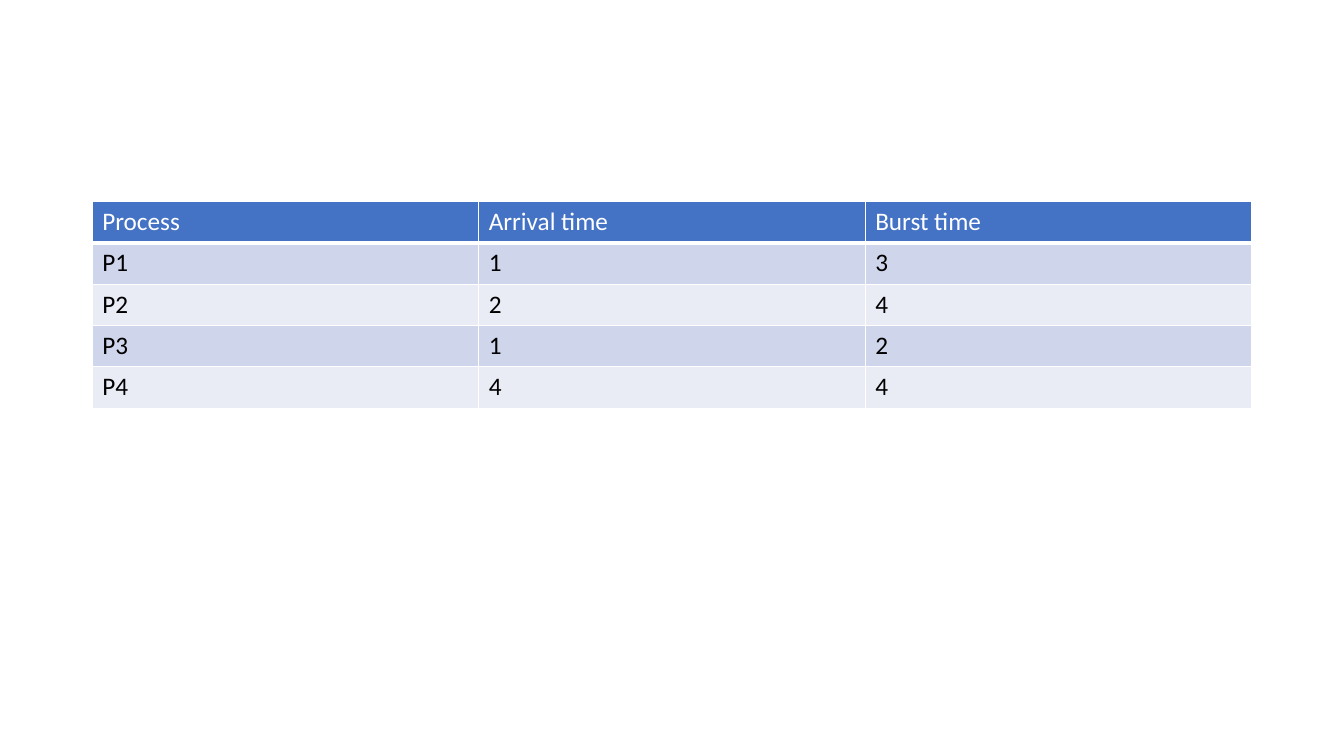
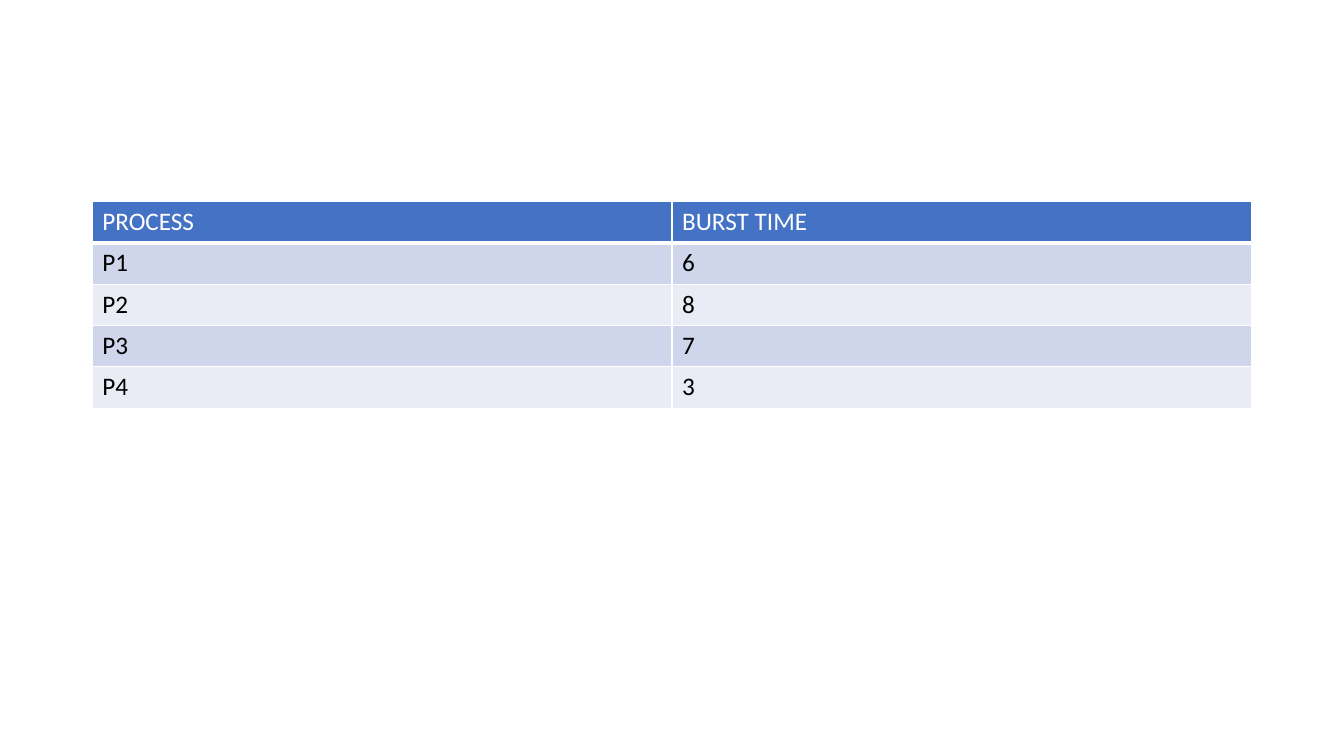
from dataclasses import dataclass

from lxml.etree import SubElement
from pptx import Presentation
from pptx.dml.color import RGBColor
from pptx.oxml.ns import qn
from pptx.presentation import Presentation as Deck
from pptx.table import _Cell
from pptx.util import Inches, Pt


@dataclass(frozen=True)
class Theme:
    font: str = "Calibri"
    size: float = 18
    header_fill: str = "4472C4"
    header_text: str = "FFFFFF"
    body_text: str = "000000"
    bands: tuple[str, str] = ("CFD5EA", "E9EBF5")
    rule: str = "FFFFFF"
    thin: float = 1
    thick: float = 3


@dataclass(frozen=True)
class Grid:
    slide_width: float = 13.33
    slide_height: float = 7.5
    width: float = 11.5
    top: float = 2
    row_height: float = 0.41

    @property
    def left(self) -> float:
        return (self.slide_width - self.width) / 2


@dataclass(frozen=True)
class Schedule:
    header: tuple[str, ...]
    processes: tuple[tuple[str, ...], ...]


THEME = Theme()
GRID = Grid()

SCHEDULES = (
    Schedule(
        ("Process", "Arrival time", "Burst time"),
        (("P1", "1", "3"), ("P2", "2", "4"), ("P3", "1", "2"), ("P4", "4", "4")),
    ),
    Schedule(
        ("PROCESS", "BURST TIME"),
        (("P1", "6"), ("P2", "8"), ("P3", "7"), ("P4", "3")),
    ),
)


def write_text(cell: _Cell, text: str, *, color: str, size: float = THEME.size,
               font: str = THEME.font, bold: bool = False) -> None:
    run = cell.text_frame.paragraphs[0].add_run()
    run.text = text
    run.font.name = font
    run.font.size = Pt(size)
    run.font.bold = bold
    run.font.color.rgb = RGBColor.from_string(color)


def rule_cell(cell: _Cell, bottom: float) -> None:
    properties = cell._tc.get_or_add_tcPr()
    for side in "LRTB":
        weight = bottom if side == "B" else THEME.thin
        border = SubElement(properties, qn(f"a:ln{side}"), w=str(int(Pt(weight))))
        SubElement(SubElement(border, qn("a:solidFill")), qn("a:srgbClr"), val=THEME.rule)


def add_schedule(deck: Deck, schedule: Schedule) -> None:
    slide = deck.slides.add_slide(deck.slide_layouts[6])
    rows = (schedule.header, *schedule.processes)
    columns = len(schedule.header)
    table = slide.shapes.add_table(
        len(rows), columns, Inches(GRID.left), Inches(GRID.top),
        Inches(GRID.width), Inches(GRID.row_height * len(rows)),
    ).table
    for column in table.columns:
        column.width = Inches(GRID.width / columns)
    for index, values in enumerate(rows):
        is_header = index == 0
        fill = THEME.header_fill if is_header else THEME.bands[(index - 1) % 2]
        for position, value in enumerate(values):
            cell = table.cell(index, position)
            rule_cell(cell, THEME.thick if is_header else THEME.thin)
            cell.fill.solid()
            cell.fill.fore_color.rgb = RGBColor.from_string(fill)
            write_text(cell, value, color=THEME.header_text if is_header else THEME.body_text)


def main() -> None:
    deck = Presentation()
    deck.slide_width = Inches(GRID.slide_width)
    deck.slide_height = Inches(GRID.slide_height)
    for schedule in SCHEDULES:
        add_schedule(deck, schedule)
    deck.save("out.pptx")


if __name__ == "__main__":
    main()
